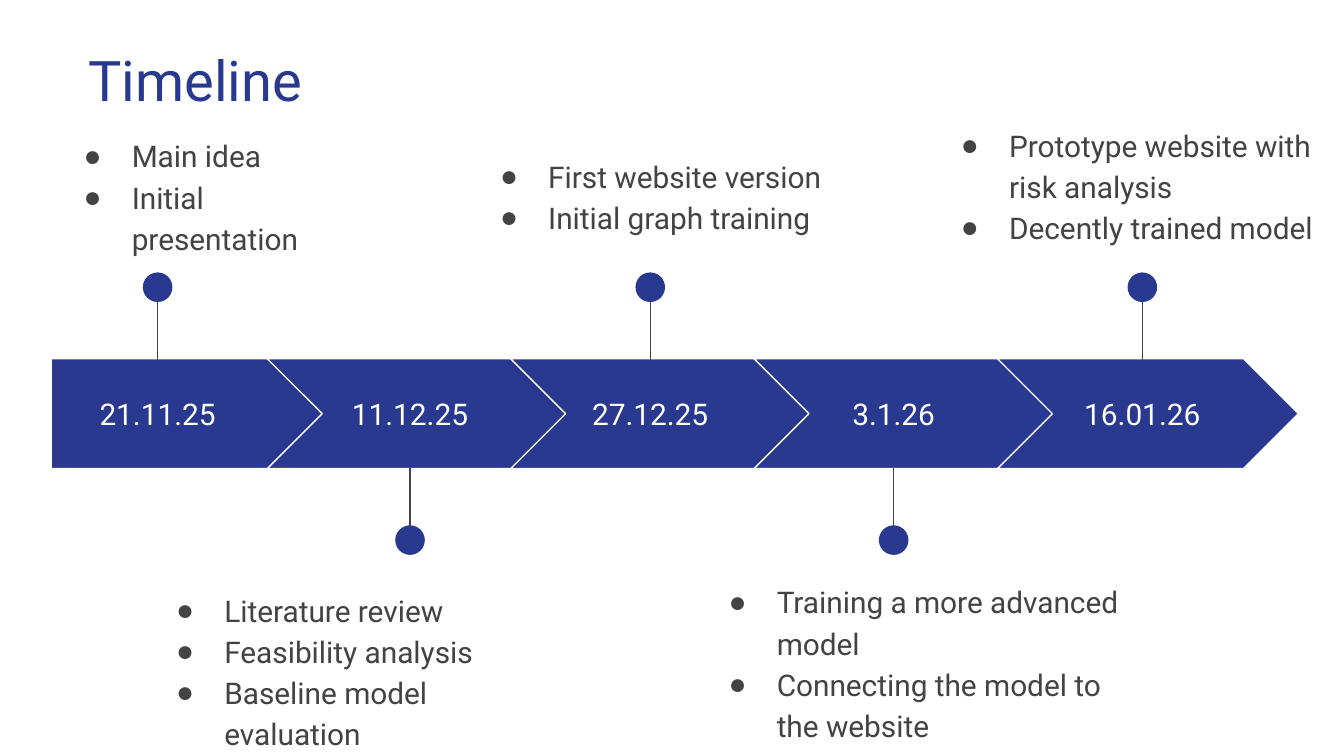
from copy import deepcopy

from lxml import etree
from pptx import Presentation
from pptx.dml.color import RGBColor
from pptx.enum.shapes import MSO_CONNECTOR, MSO_SHAPE
from pptx.enum.text import MSO_ANCHOR, MSO_AUTO_SIZE, PP_ALIGN
from pptx.oxml.ns import qn
from pptx.util import Cm, Pt

LEFT, CENTER = PP_ALIGN.LEFT, PP_ALIGN.CENTER
TOP, MIDDLE = MSO_ANCHOR.TOP, MSO_ANCHOR.MIDDLE
NO_AUTOFIT = MSO_AUTO_SIZE.NONE
PENTAGON, CHEVRON, OVAL = MSO_SHAPE.PENTAGON, MSO_SHAPE.CHEVRON, MSO_SHAPE.OVAL
STRAIGHT = MSO_CONNECTOR.STRAIGHT

TITLE = "Timeline"
MILESTONES = [
    {"date": "21.11.25", "pin": 2.98, "list_at": (0.97, 2.26, 6.22),
     "tasks": ["Main idea", "Initial presentation"]},
    {"date": "11.12.25", "pin": 7.75, "list_at": (2.72, 10.85, 7.57),
     "tasks": ["Literature review", "Feasibility analysis", "Baseline model evaluation"]},
    {"date": "27.12.25", "pin": 12.29, "list_at": (8.84, 2.64, 7.34),
     "tasks": ["First website version", "Initial graph training"]},
    {"date": "3.1.26", "pin": 16.89, "list_at": (13.16, 10.69, 8.56),
     "tasks": ["Training a more advanced model", "Connecting the model to the website"]},
    {"date": "16.01.26", "pin": 21.59, "list_at": (17.55, 2.06, 7.57),
     "tasks": ["Prototype website with risk analysis", "Decently trained model"]},
]

THEME = {
    "font": "Roboto",
    "accent": RGBColor(0x2A, 0x39, 0x90),
    "text": RGBColor(0x43, 0x43, 0x43),
    "light": RGBColor(0xFF, 0xFF, 0xFF),
    "title_size": Pt(30),
    "text_size": Pt(16),
    "line": Pt(0.75),
}

BAND_LEFT, BAND_TOP, BAND_HEIGHT = 0.97, 6.78, 2.08
BAND_MIDDLE = BAND_TOP + BAND_HEIGHT / 2
FIRST_WIDTH = 5.21
CHEVRON_LEFT, CHEVRON_WIDTH, CHEVRON_STEP = 5.05, 5.69, 4.6
DATE_WIDTH, DATE_HEIGHT = 3.66, 1.3
DOT, DOT_OFFSET, STEM_OFFSET = 0.56, 2.39, 1.02
LIST_HEIGHT = 2.51


def place(shape, left, top, width, height):
    shape.left, shape.top = Cm(left), Cm(top)
    shape.width, shape.height = Cm(width), Cm(height)


def write(shape, lines, size, color, align=LEFT, anchor=TOP):
    frame = shape.text_frame
    frame.text = "\n".join(lines)
    frame.word_wrap = True
    frame.auto_size = NO_AUTOFIT
    frame.vertical_anchor = anchor
    frame.margin_left = frame.margin_right = Cm(0.25)
    frame.margin_top = frame.margin_bottom = Cm(0.25)
    for paragraph in frame.paragraphs:
        paragraph.alignment = align
        paragraph.space_before = Pt(0)
        paragraph.font.name = THEME["font"]
        paragraph.font.size = size
        paragraph.font.color.rgb = color


def add_bullets(shape):
    for paragraph in shape.text_frame.paragraphs:
        paragraph.line_spacing = 1.15
        properties = paragraph.font._element.getparent()
        properties.set("marL", str(Cm(1.27)))
        properties.set("indent", str(Cm(-0.91)))
        bullet = etree.Element(qn("a:buChar"), char="●")
        paragraph.font._element.addprevious(bullet)


def add_filled(slide, kind, left, top, width, height):
    shape = slide.shapes.add_shape(kind, Cm(left), Cm(top), Cm(width), Cm(height))
    shape.shadow.inherit = False
    shape.fill.solid()
    shape.fill.fore_color.rgb = THEME["accent"]
    shape.line.fill.background()
    return shape


def add_band_step(slide, index):
    if index == 0:
        kind, left, width = PENTAGON, BAND_LEFT, FIRST_WIDTH
    else:
        kind, width = CHEVRON, CHEVRON_WIDTH
        left = CHEVRON_LEFT + (index - 1) * CHEVRON_STEP
    step = add_filled(slide, kind, left, BAND_TOP, width, BAND_HEIGHT)
    step.line.color.rgb = THEME["light"]
    step.line.width = THEME["line"]


def add_pin(slide, x, direction):
    dot_y = BAND_MIDDLE + direction * DOT_OFFSET
    stem = slide.shapes.add_connector(
        STRAIGHT, Cm(x), Cm(dot_y), Cm(x), Cm(BAND_MIDDLE + direction * STEM_OFFSET))
    stem.line.color.rgb = THEME["text"]
    stem.line.width = THEME["line"]
    etree.SubElement(stem._element.spPr, qn("a:effectLst"))
    add_filled(slide, OVAL, x - DOT / 2, dot_y - DOT / 2, DOT, DOT)


def add_date(slide, date, x):
    label = slide.shapes.add_textbox(
        Cm(x - DATE_WIDTH / 2), Cm(BAND_MIDDLE - DATE_HEIGHT / 2),
        Cm(DATE_WIDTH), Cm(DATE_HEIGHT))
    write(label, [date], THEME["text_size"], THEME["light"], CENTER, MIDDLE)


def task_placeholders(slide, count):
    body = slide.placeholders[1]
    for _ in range(count - 1):
        twin = deepcopy(body._element)
        twin.nvSpPr.cNvPr.set("id", str(len(slide.shapes) + 2))
        slide.shapes._spTree.append(twin)
    return [item for item in slide.placeholders if item.placeholder_format.idx == 1]


def main():
    deck = Presentation()
    deck.slide_width, deck.slide_height = Cm(25.4), Cm(14.29)
    slide = deck.slides.add_slide(deck.slide_layouts[1])

    title = slide.shapes.title
    place(title, 1.42, 0.61, 4.75, 1.65)
    write(title, [TITLE], THEME["title_size"], THEME["accent"])

    task_lists = task_placeholders(slide, len(MILESTONES))
    for index, (milestone, tasks) in enumerate(zip(MILESTONES, task_lists)):
        place(tasks, *milestone["list_at"], LIST_HEIGHT)
        write(tasks, milestone["tasks"], THEME["text_size"], THEME["text"])
        add_bullets(tasks)
        add_band_step(slide, index)
        add_pin(slide, milestone["pin"], 1 if index % 2 else -1)
        add_date(slide, milestone["date"], milestone["pin"])

    deck.save("out.pptx")


if __name__ == "__main__":
    main()
